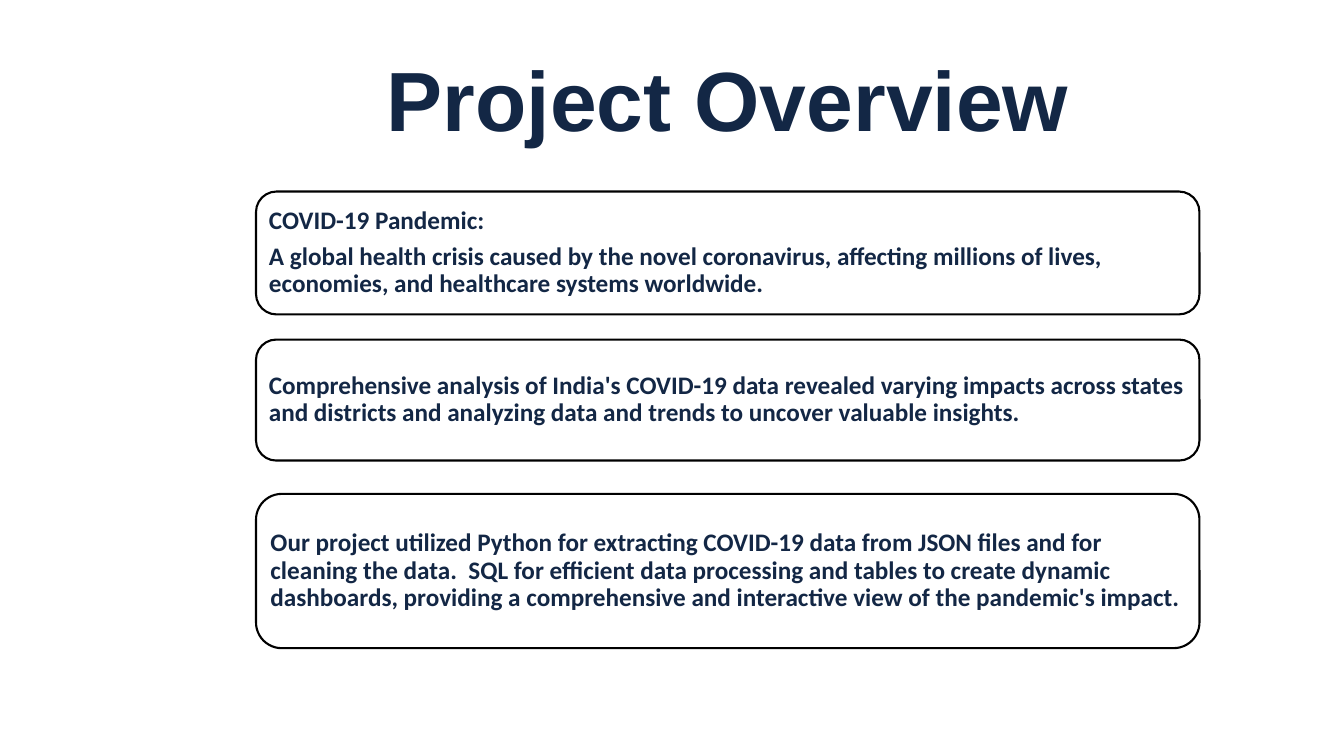
"""Build the Project Overview slide with three stacked text cards."""
from pptx import Presentation, util as u
from pptx.dml.color import RGBColor
from pptx.enum import shapes, text

NAVY, WHITE, BLACK = "132745", "FFFFFF", "000000"
HEADING = "Project Overview"
HEADING_BOX = (214.5, 22.3, 610.6, 103.7)
CARD_LEFT, CARD_WIDTH = 182.9, 673.9
CARDS = [
    (136.8, 87.8, ["COVID-19 Pandemic:",
                   "A global health crisis caused by the novel coronavirus, affecting "
                   "millions of lives, economies, and healthcare systems worldwide."]),
    (242.6, 86.4, ["Comprehensive analysis of India's COVID-19 data revealed varying impacts "
                   "across states and districts and analyzing data and trends to uncover "
                   "valuable insights."]),
    (352.8, 110.2, ["Our project utilized Python for extracting COVID-19 data from JSON files "
                    "and for cleaning the data.  SQL for efficient data processing and tables "
                    "to create dynamic dashboards, providing a comprehensive and interactive "
                    "view of the pandemic's impact."]),
]


def colour(value):
    return RGBColor.from_string(value)


def write(frame, lines, font, size, align, inset, gap):
    frame.word_wrap = True
    frame.vertical_anchor = text.MSO_ANCHOR.MIDDLE
    frame.margin_left = frame.margin_right = u.Pt(inset)
    frame.margin_top = frame.margin_bottom = u.Pt(inset)
    for index, line in enumerate(lines):
        paragraph = frame.add_paragraph() if index else frame.paragraphs[0]
        paragraph.alignment = align
        paragraph.line_spacing = 0.9
        paragraph.space_after = u.Pt(gap)
        run = paragraph.add_run()
        run.text = line
        run.font.name, run.font.size, run.font.bold = font, u.Pt(size), True
        run.font.color.rgb = colour(NAVY)


def main():
    deck = Presentation()
    deck.slide_width, deck.slide_height = u.Pt(960), u.Pt(540)
    slide = deck.slides.add_slide(deck.slide_layouts[6])

    heading = slide.shapes.add_textbox(*map(u.Pt, HEADING_BOX))
    write(heading.text_frame, [HEADING], "Arial", 60, text.PP_ALIGN.CENTER, 5, 0)

    for top, height, lines in CARDS:
        card = slide.shapes.add_shape(
            shapes.MSO_SHAPE.ROUNDED_RECTANGLE,
            *map(u.Pt, (CARD_LEFT, top, CARD_WIDTH, height)))
        card.shadow.inherit = False
        card.fill.solid()
        card.fill.fore_color.rgb = colour(WHITE)
        card.line.color.rgb = colour(BLACK)
        card.line.width = u.Pt(1.5)
        write(card.text_frame, lines, "Calibri", 18, text.PP_ALIGN.LEFT, 5, 6.3)

    deck.save("out.pptx")


if __name__ == "__main__":
    main()
